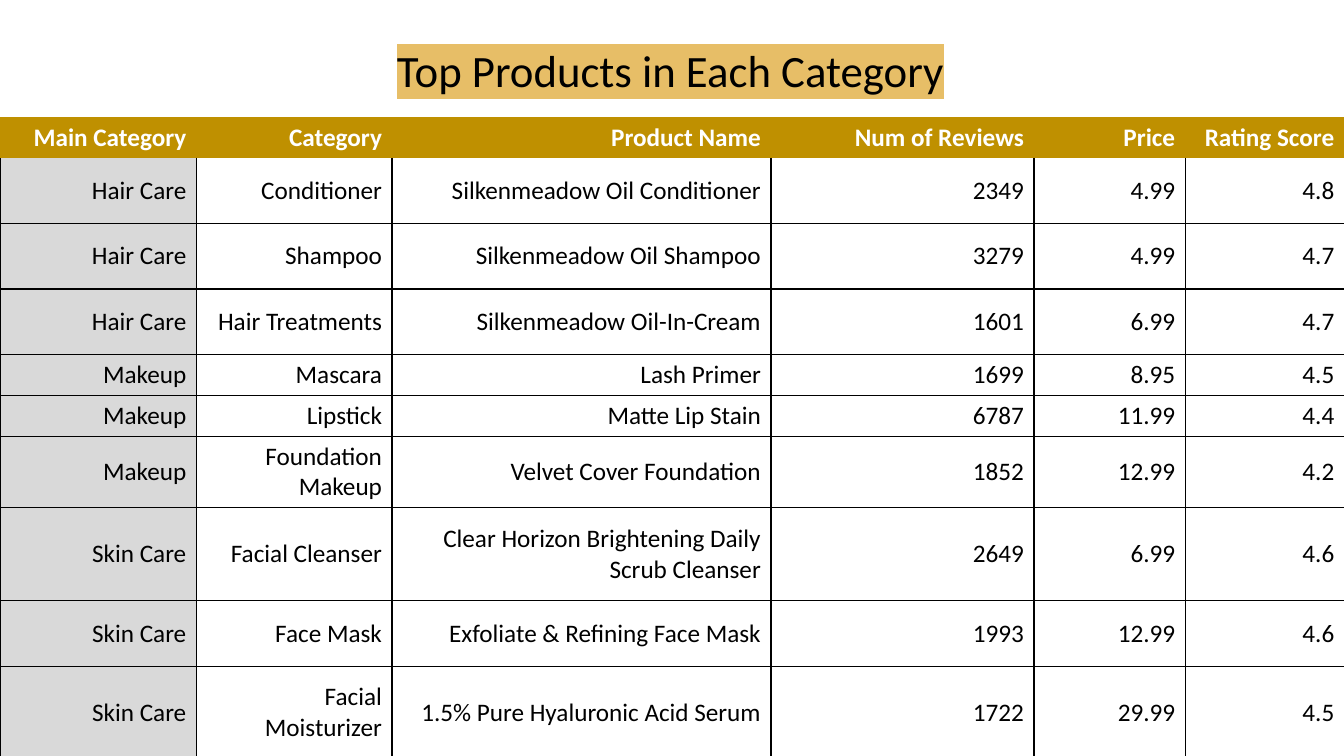
from lxml.etree import SubElement
from pptx import Presentation
from pptx.dml.color import RGBColor
from pptx.enum.text import MSO_ANCHOR as Anchor, PP_ALIGN as Align
from pptx.oxml import parse_xml
from pptx.oxml.ns import nsdecls, qn
from pptx.util import Cm, Pt

GOLD = RGBColor(0xBF, 0x90, 0x00)
SAND = RGBColor(0xE7, 0xBE, 0x67)
GREY = RGBColor(0xD9, 0xD9, 0xD9)
BLACK = RGBColor(0, 0, 0)
WHITE = RGBColor(0xFF, 0xFF, 0xFF)

WIDTHS = [4.95, 4.93, 9.55, 6.63, 3.81, 4.01]
HEIGHTS = [0.97, 1.65, 1.65, 1.65, 0.97, 0.97, 1.7, 2.34, 1.65, 2.34]
ROWS = [
    ("Main Category", "Category", "Product Name", "Num of Reviews", "Price", "Rating Score"),
    ("Hair Care", "Conditioner", "Silkenmeadow Oil Conditioner", "2349", "4.99", "4.8"),
    ("Hair Care", "Shampoo", "Silkenmeadow Oil Shampoo", "3279", "4.99", "4.7"),
    ("Hair Care", "Hair Treatments", "Silkenmeadow Oil-In-Cream", "1601", "6.99", "4.7"),
    ("Makeup", "Mascara", "Lash Primer", "1699", "8.95", "4.5"),
    ("Makeup", "Lipstick", "Matte Lip Stain", "6787", "11.99", "4.4"),
    ("Makeup", "Foundation Makeup", "Velvet Cover Foundation", "1852", "12.99", "4.2"),
    ("Skin Care", "Facial Cleanser", "Clear Horizon Brightening Daily Scrub Cleanser",
     "2649", "6.99", "4.6"),
    ("Skin Care", "Face Mask", "Exfoliate & Refining Face Mask", "1993", "12.99", "4.6"),
    ("Skin Care", "Facial Moisturizer", "1.5% Pure Hyaluronic Acid Serum",
     "1722", "29.99", "4.5"),
]


def set_edges(cell, drawn):
    """Draw the named edges in black and clear the others."""
    props = cell._tc.get_or_add_tcPr()
    for i, side in enumerate("LRTB"):
        paint = "<a:noFill/>"
        if side in drawn:
            paint = f'<a:solidFill><a:srgbClr val="{BLACK}"/></a:solidFill>'
        props.insert(i, parse_xml(
            f'<a:ln{side} {nsdecls("a")} w="{Pt(1)}">{paint}</a:ln{side}>'))


prs = Presentation()
prs.slide_width, prs.slide_height = Cm(33.87), Cm(19.05)
slide = prs.slides.add_slide(prs.slide_layouts[6])

# Product table
frame = slide.shapes.add_table(len(ROWS), len(WIDTHS), 0, Cm(2.95),
                               Cm(sum(WIDTHS)), Cm(sum(HEIGHTS)))
table = frame.table
table.horz_banding = False
for col, width in zip(table.columns, WIDTHS):
    col.width = Cm(width)
for row, height in zip(table.rows, HEIGHTS):
    row.height = Cm(height)

for r, row in enumerate(ROWS):
    head = r == 0
    for c, text in enumerate(row):
        cell = table.cell(r, c)
        cell.text = text
        cell.vertical_anchor = Anchor.MIDDLE
        if head or c == 0:
            cell.fill.solid()
            cell.fill.fore_color.rgb = GOLD if head else GREY
        else:
            cell.fill.background()
        set_edges(cell, "" if head else "LRB" if r == 1 else "LRTB")
        para = cell.text_frame.paragraphs[0]
        para.alignment = Align.RIGHT
        font = para.font
        font.name, font.size, font.bold = "Calibri", Pt(18), head
        font.color.rgb = WHITE if head else BLACK

# Highlighted title
box = slide.shapes.add_textbox(Cm(9.75), Cm(0.94), Cm(14.45), Cm(1.63))
box.text_frame.word_wrap = False
run = box.text_frame.paragraphs[0].add_run()
run.text = "Top Products in Each Category"
run.font.size = Pt(32)
run.font.color.rgb = BLACK
mark = SubElement(run.font._element, qn("a:highlight"))
SubElement(mark, qn("a:srgbClr")).set("val", str(SAND))
run.font.name = "Calibri"

prs.save("out.pptx")
